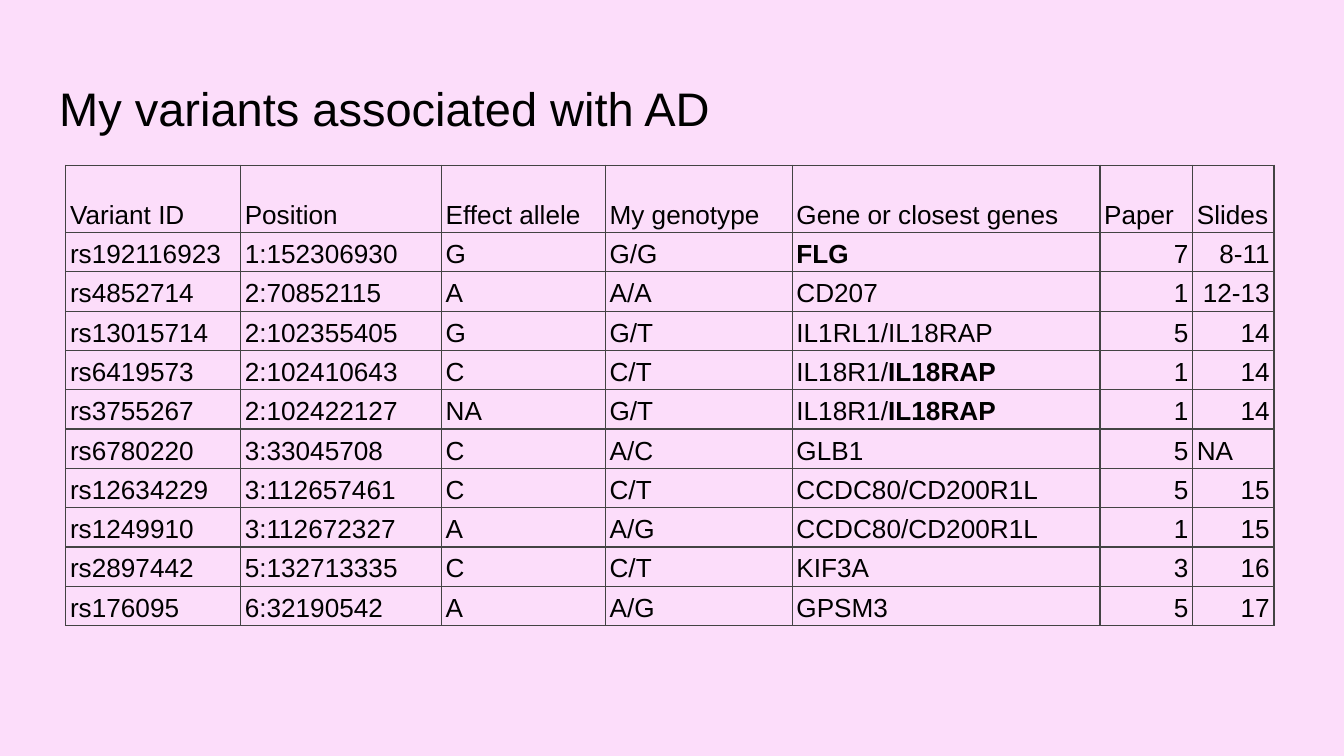
from lxml.etree import SubElement
from pptx import Presentation
from pptx.dml.color import RGBColor
from pptx.enum.text import MSO_ANCHOR, MSO_AUTO_SIZE, PP_ALIGN
from pptx.oxml.ns import qn
from pptx.util import Inches, Pt

PINK = RGBColor(0xFC, 0xDD, 0xFA)
BLACK = RGBColor(0x00, 0x00, 0x00)
GREY = RGBColor(0x43, 0x43, 0x43)

TITLE = "My variants associated with AD"
HEADINGS = ("Variant ID", "Position", "Effect allele", "My genotype",
            "Gene or closest genes", "Paper", "Slides")
# Asterisks enclose the bold part of a gene name.
VARIANTS = (
    ("rs192116923", "1:152306930", "G", "G/G", "*FLG*", "7", "8-11"),
    ("rs4852714", "2:70852115", "A", "A/A", "CD207", "1", "12-13"),
    ("rs13015714", "2:102355405", "G", "G/T", "IL1RL1/IL18RAP", "5", "14"),
    ("rs6419573", "2:102410643", "C", "C/T", "IL18R1/*IL18RAP*", "1", "14"),
    ("rs3755267", "2:102422127", "NA", "G/T", "IL18R1/*IL18RAP*", "1", "14"),
    ("rs6780220", "3:33045708", "C", "A/C", "GLB1", "5", "NA"),
    ("rs12634229", "3:112657461", "C", "C/T", "CCDC80/CD200R1L", "5", "15"),
    ("rs1249910", "3:112672327", "A", "A/G", "CCDC80/CD200R1L", "1", "15"),
    ("rs2897442", "5:132713335", "C", "C/T", "KIF3A", "3", "16"),
    ("rs176095", "6:32190542", "A", "A/G", "GPSM3", "5", "17"),
)
COLUMN_WIDTHS = (13, 14.95, 12.2, 13.9, 22.9, 6.9, 6.05)
HEADING_HEIGHT, VARIANT_HEIGHT = 5, 2.7
FIRST_NUMERIC_COLUMN = HEADINGS.index("Paper")


class VariantDeck:
    """Style and current slide; lengths are units of a grid 100 columns wide."""

    font_name = "Arial"
    title_size = Pt(25.2)
    cell_size = Pt(14)
    border_width = Pt(0.75)

    def __init__(self):
        self.deck = Presentation()
        self.deck.slide_width = Inches(10)
        self.deck.slide_height = self.deck.slide_width * 9 // 16
        self.unit = self.deck.slide_width / 100
        self.slide = self.deck.slides.add_slide(self.deck.slide_layouts[5])
        self.slide.background.fill.solid()
        self.slide.background.fill.fore_color.rgb = PINK

    def units(self, count):
        return round(count * self.unit)

    def add_runs(self, paragraph, text, size):
        """Add the text, with each part between asterisks in bold."""
        for index, part in enumerate(text.split("*")):
            if part:
                run = paragraph.add_run()
                run.text = part
                run.font.name = self.font_name
                run.font.size = size
                run.font.bold = index % 2 == 1
                run.font.color.rgb = BLACK

    def add_title(self, text, left, top, width, height):
        title = self.slide.shapes.title
        title.left, title.top = self.units(left), self.units(top)
        title.width, title.height = self.units(width), self.units(height)
        frame = title.text_frame
        frame.margin_left = frame.margin_right = Inches(0.1)
        frame.margin_top = frame.margin_bottom = Inches(0.1)
        frame.vertical_anchor = MSO_ANCHOR.TOP
        frame.word_wrap = True
        frame.auto_size = MSO_AUTO_SIZE.NONE
        frame.paragraphs[0].alignment = PP_ALIGN.LEFT
        self.add_runs(frame.paragraphs[0], text, self.title_size)

    def add_borders(self, cell):
        properties = cell._tc.get_or_add_tcPr()
        for side in ("a:lnL", "a:lnR", "a:lnT", "a:lnB"):
            line = SubElement(properties, qn(side), w=str(self.border_width))
            fill = SubElement(line, qn("a:solidFill"))
            SubElement(fill, qn("a:srgbClr"), val=str(GREY))

    def fill_cell(self, cell, text, alignment):
        cell.margin_left = cell.margin_right = Pt(2.25)
        cell.margin_top = cell.margin_bottom = Pt(1.5)
        cell.vertical_anchor = MSO_ANCHOR.BOTTOM
        self.add_borders(cell)
        cell.fill.background()
        paragraph = cell.text_frame.paragraphs[0]
        paragraph.alignment = alignment
        paragraph.line_spacing = 1.15
        self.add_runs(paragraph, text, self.cell_size)

    def add_table(self, rows, left, top, widths, heights):
        table = self.slide.shapes.add_table(
            len(rows), len(widths), self.units(left), self.units(top),
            self.units(sum(widths)), self.units(sum(heights))).table
        table.first_row = table.horz_banding = False
        for column, width in zip(table.columns, widths):
            column.width = self.units(width)
        for row, height, texts in zip(table.rows, heights, rows):
            row.height = self.units(height)
            for index, (cell, text) in enumerate(zip(row.cells, texts)):
                numeric = index >= FIRST_NUMERIC_COLUMN and text[0].isdigit()
                self.fill_cell(cell, text, PP_ALIGN.RIGHT if numeric else PP_ALIGN.LEFT)


def main():
    variants = VariantDeck()
    variants.add_title(TITLE, 3.4, 4.9, 93.2, 6.3)
    heights = [HEADING_HEIGHT] + [VARIANT_HEIGHT] * len(VARIANTS)
    variants.add_table((HEADINGS, *VARIANTS), 4.9, 12.3, COLUMN_WIDTHS, heights)
    variants.deck.save("out.pptx")


if __name__ == "__main__":
    main()
